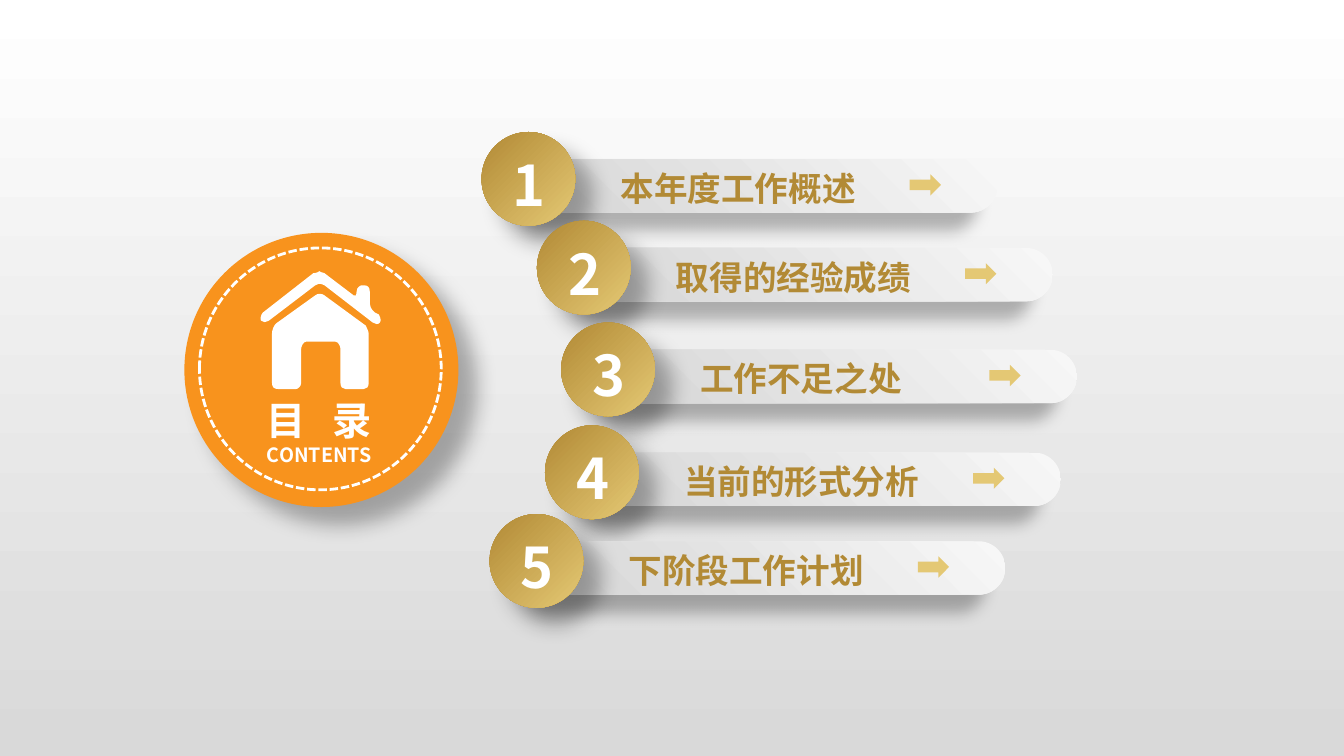
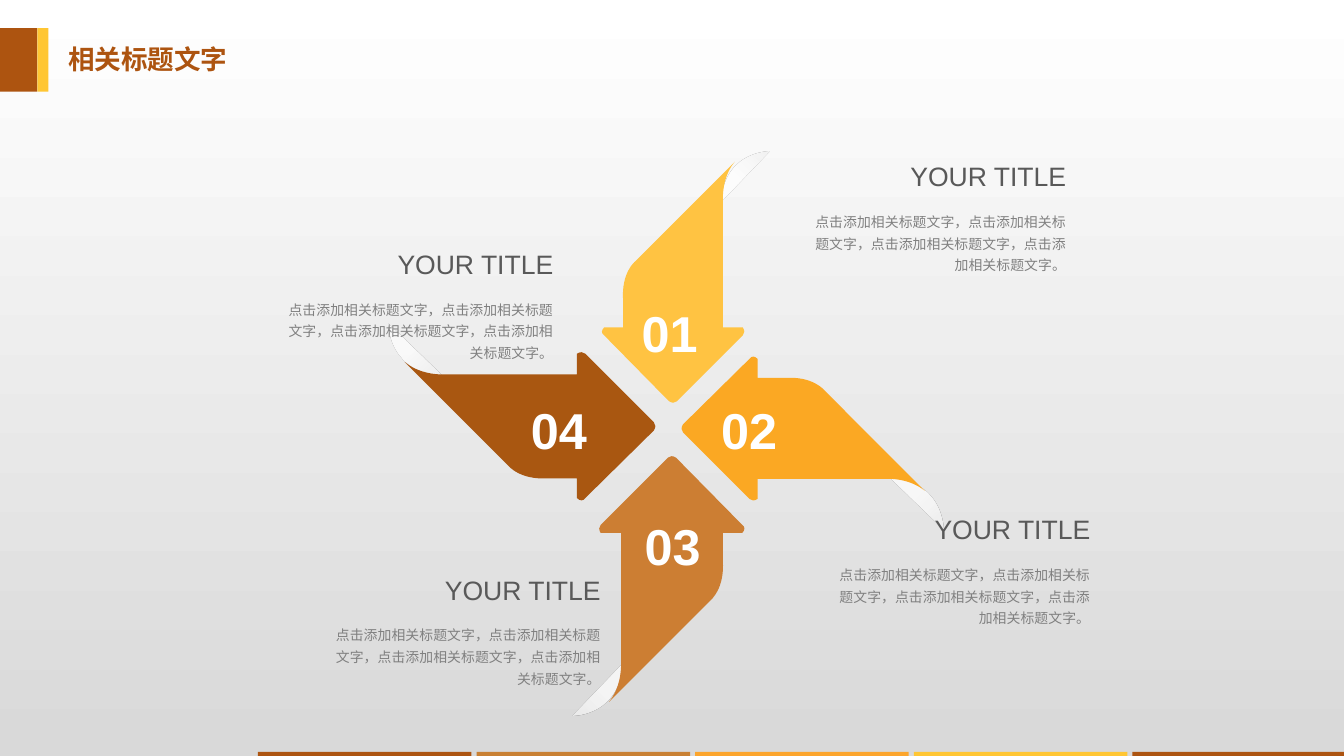
from dataclasses import dataclass

from lxml import etree
from pptx import Presentation
from pptx import util as u
from pptx.dml import color as dml_color
from pptx.enum import dml, shapes, text
from pptx.oxml import ns


@dataclass(frozen=True)
class Gradient:
    stops: tuple  # (position, colour, opacity in percent)
    angle: float = 0  # clockwise degrees
    from_corner: bool = False  # spreads from the bottom left corner


@dataclass(frozen=True)
class Shadow:
    opacity: int
    blur: float
    distance: float
    direction: float


@dataclass(frozen=True)
class Theme:
    # Fonts and type sizes
    latin: str = "Arial"
    chinese: str = "Noto Sans CJK SC"
    number_size: float = 40
    blade_number_size: float = 36
    contents_size: float = 28
    item_size: float = 24
    title_size: float = 18.95
    small_size: float = 14
    body_size: float = 9.95
    # Colours
    white: str = "FFFFFF"
    orange: str = "F8931D"
    gold: str = "B28A35"
    pale_gold: str = "E4C874"
    brown: str = "AD5410"
    yellow: str = "FFC633"
    footer: tuple = ("AD5410", "C98033", "FCA52C", "FFC633", "AD5410")
    heading: str = "595959"
    body: str = "808080"
    # Fills and shadows
    backdrop: Gradient = Gradient(((0, "FFFFFF", 100), (0.99, "D9D9D9", 100)), 90)
    disc: Gradient = Gradient(((0, "B28A35", 100), (1, "E4C874", 100)), 45)
    bar: Gradient = Gradient(
        ((0, "D6D6D6", 100), (1, "F7F7F7", 100)), from_corner=True)
    curl_stops: tuple = ((0, "F0F0F0", 76), (0.59, "FFFFFF", 73))
    disc_shadow: Shadow = Shadow(30, 15, 18, 45)
    bar_shadow: Shadow = Shadow(28, 11.8, 19.7, 141)


THEME = Theme()
WIDTH, HEIGHT = 13.34, 7.5

# Outlines: a pair is a corner, three pairs in a row are a Bézier curve
HOUSE_WALLS = [
    (3.22, 2.93), (3.2, 2.91, 3.15, 2.91, 3.13, 2.93), (2.74, 3.21),
    (2.72, 3.23, 2.7, 3.27, 2.7, 3.31), (2.7, 3.8),
    (2.7, 3.84, 2.72, 3.86, 2.76, 3.86), (2.94, 3.86),
    (2.95, 3.86, 2.99, 3.84, 2.99, 3.8), (2.99, 3.46),
    (2.99, 3.44, 3.01, 3.39, 3.04, 3.39), (3.33, 3.39),
    (3.36, 3.39, 3.38, 3.44, 3.38, 3.46), (3.38, 3.8),
    (3.38, 3.84, 3.4, 3.86, 3.43, 3.86), (3.61, 3.86),
    (3.64, 3.86, 3.66, 3.84, 3.66, 3.8), (3.66, 3.31),
    (3.66, 3.29, 3.64, 3.25, 3.63, 3.23),
]
HOUSE_ROOF = [
    (3.72, 3.1), (3.68, 3.07, 3.67, 3.03, 3.67, 2.99), (3.67, 2.89),
    (3.67, 2.85, 3.65, 2.83, 3.61, 2.83), (3.59, 2.83),
    (3.58, 2.83, 3.54, 2.85, 3.54, 2.89),
    (3.54, 2.93, 3.52, 2.95, 3.51, 2.93), (3.22, 2.71),
    (3.2, 2.71, 3.17, 2.69, 3.17, 2.69), (3.17, 2.69, 3.15, 2.71, 3.11, 2.71),
    (2.61, 3.1), (2.59, 3.12, 2.58, 3.16, 2.59, 3.18),
    (2.61, 3.2, 2.63, 3.2, 2.67, 3.18), (3.13, 2.83),
    (3.15, 2.81, 3.18, 2.81, 3.22, 2.83), (3.7, 3.2),
    (3.72, 3.22, 3.76, 3.22, 3.77, 3.2), (3.79, 3.18, 3.77, 3.14, 3.76, 3.12),
]
# Pinwheel blade, measured from its tip and pointing left
BLADE = [
    (0.68, -0.69), (0.02, -0.04), (0, -0.01, 0, 0.02, 0.02, 0.04), (0.68, 0.7),
    (0.7, 0.72, 0.73, 0.72, 0.76, 0.7), (0.76, 0.5), (2.06, 0.5),
    (2.06, 0.5, 2.11, 0.5, 2.17, 0.51), (2.28, 0.53, 2.36, 0.57, 2.42, 0.62),
    (1.42, -0.38), (1.42, -0.38, 1.31, -0.52, 1.03, -0.5), (0.76, -0.5),
    (0.76, -0.69), (0.73, -0.72, 0.7, -0.72, 0.68, -0.69),
]
CURL = [
    (2.08, 0.5), (2.6, 1), (2.6, 1, 2.6, 0.83, 2.49, 0.69),
    (2.47, 0.67, 2.45, 0.64, 2.42, 0.62), (2.36, 0.57, 2.28, 0.53, 2.17, 0.51),
    (2.14, 0.51, 2.11, 0.5, 2.08, 0.5),
]

# Contents rows: text, left and top of the bar
ITEMS = [
    ("本年度工作概述", 5.33, 1.58),
    ("取得的经验成绩", 5.88, 2.46),
    ("工作不足之处", 6.12, 3.47),
    ("当前的形式分析", 5.96, 4.49),
    ("下阶段工作计划", 5.41, 5.37),
]
# Blades: number, (colour, tip, scale, curl scale, quarter turns), number box,
# caption (right, top, body width)
BLADES = [
    ("01", ("FFC342", (6.68, 4), 0.99, 0.96, 3), (6.27, 2.95), (10.68, 1.54, 2.79)),
    ("02", ("FBA823", (6.76, 4.25), 1, 1, 0), (7.06, 3.91), (10.92, 5.04, 2.79)),
    ("03", ("CC7E33", (6.67, 4.52), 1.01, 0.99, 1), (6.3, 5.06), (6.06, 5.64, 2.92)),
    ("04", ("A95711", (6.51, 4.23), 1.03, 1.02, 2), (5.17, 3.91), (5.59, 2.41, 2.92)),
]
BODY_TEXT = "，".join(["点击添加相关标题文字"] * 4) + "。"


def rgb(value):
    return dml_color.RGBColor.from_string(value)


def add_xml(parent, tag, **attributes):
    values = {name: str(value) for name, value in attributes.items()}
    return etree.SubElement(parent, ns.qn(tag), values)


def paint_gradient(fill, owner, gradient):
    """Fill with a gradient; owner is the XML element that holds the fill."""
    fill.gradient()
    fill.gradient_angle = -gradient.angle % 360
    for stop, (position, value, _) in zip(fill.gradient_stops, gradient.stops):
        stop.position = position
        stop.color.rgb = rgb(value)
    grad = next(owner.iter(ns.qn("a:gradFill")))
    for node, (_, _, opacity) in zip(grad.iter(ns.qn("a:srgbClr")), gradient.stops):
        if opacity < 100:
            add_xml(node, "a:alpha", val=opacity * 1000)
    if gradient.from_corner:
        grad.remove(grad.find(ns.qn("a:lin")))
        route = add_xml(grad, "a:path", path="circle")
        add_xml(route, "a:fillToRect", t=100000, r=100000)


def style(shape, fill=None, shadow=None):
    """Set fill and shadow, and take the outline away."""
    properties = shape._element.spPr
    if fill is None:
        shape.fill.background()
    elif isinstance(fill, Gradient):
        paint_gradient(shape.fill, properties, fill)
    else:
        shape.fill.solid()
        shape.fill.fore_color.rgb = rgb(fill)
    shape.line.fill.background()
    shape.shadow.inherit = False
    if shadow:
        effects = properties.find(ns.qn("a:effectLst"))
        outer = add_xml(effects, "a:outerShdw", blurRad=u.Pt(shadow.blur),
                        dist=u.Pt(shadow.distance),
                        dir=int(shadow.direction * 60000), algn="tl",
                        rotWithShape=0)
        value = add_xml(outer, "a:srgbClr", val="000000")
        add_xml(value, "a:alpha", val=shadow.opacity * 1000)
    return shape


def add_preset(page, kind, left, top, width, height, fill=None, shadow=None):
    shape = page.shapes.add_shape(kind, *map(u.Inches, (left, top, width, height)))
    return style(shape, fill, shadow)


def add_outline(page, outline, fill, origin=(0, 0), scale=1, turns=0):
    """Draw an outline, scaled, turned by quarters and moved to its origin."""
    def place(x, y):
        for _ in range(turns):
            x, y = -y, x
        return u.Inches(origin[0] + scale * x), u.Inches(origin[1] + scale * y)

    parts = [[place(*part[i:i + 2]) for i in range(0, len(part), 2)]
             for part in outline]
    builder = page.shapes.build_freeform(*parts[0][0])
    builder.add_line_segments([part[-1] for part in parts[1:]], close=True)
    shape = builder.convert_to_shape()
    # Bend the segments that have control points
    segments = list(shape._element.iter(ns.qn("a:lnTo")))
    for segment, part in zip(segments, parts[1:]):
        if len(part) == 3:
            curve = etree.Element(ns.qn("a:cubicBezTo"))
            for x, y in part:
                add_xml(curve, "a:pt", x=x - shape.left, y=y - shape.top)
            segment.getparent().replace(segment, curve)
    return style(shape, fill)


def add_text(page, left, top, width, height, lines, value, font=THEME.latin,
             bold=False, align=text.PP_ALIGN.LEFT, middle=False, inset=True,
             wrap=True, spacing=None, tab=None):
    """Add a text box; lines holds (wording, size) pairs."""
    box = page.shapes.add_textbox(*map(u.Inches, (left, top, width, height)))
    frame = box.text_frame
    frame.word_wrap = wrap
    if middle:
        frame.vertical_anchor = text.MSO_ANCHOR.MIDDLE
    if not inset:
        frame.margin_left = frame.margin_right = 0
        frame.margin_top = frame.margin_bottom = 0
    for index, (wording, size) in enumerate(lines):
        para = frame.add_paragraph() if index else frame.paragraphs[0]
        para.alignment = align
        if spacing:
            para.line_spacing = spacing
        if tab and "\t" in wording:
            stops = add_xml(para._p.get_or_add_pPr(), "a:tabLst")
            add_xml(stops, "a:tab", pos=u.Inches(tab), algn="l")
        span = para.add_run()
        span.text = wording
        span.font.size = u.Pt(size)
        span.font.bold = bold
        span.font.color.rgb = rgb(value)
        span.font.name = font
        add_xml(span._r.get_or_add_rPr(), "a:ea", typeface=THEME.chinese)
    return box


def add_page(deck):
    page = deck.slides.add_slide(deck.slide_layouts[6])
    paint_gradient(page.background.fill, page._element, THEME.backdrop)
    return page


def add_title_and_footer(page, title):
    rectangle = shapes.MSO_SHAPE.RECTANGLE
    add_preset(page, rectangle, 0.37, 0.28, 0.11, 0.63, THEME.yellow)
    add_preset(page, rectangle, 0, 0.28, 0.37, 0.63, THEME.brown)
    width, gap = 2.12, 0.05
    for index, value in enumerate(THEME.footer):
        add_preset(page, rectangle, 2.56 + index * (width + gap), 7.46,
                   width, 0.05, value)
    add_text(page, 0.58, 0.38, 1.97, 0.42, [(title, THEME.title_size)],
             THEME.brown, bold=True)


def add_badge(page):
    """Orange disc with the house and the word for contents."""
    oval = shapes.MSO_SHAPE.OVAL
    add_preset(page, oval, 1.83, 2.31, 2.72, 2.72, THEME.orange, THEME.disc_shadow)
    for outline in (HOUSE_WALLS, HOUSE_ROOF):
        add_outline(page, outline, THEME.white)
    add_text(page, 2.65, 3.93, 1.38, 0.84,
             [("目\t录", THEME.contents_size), ("CONTENTS", THEME.small_size)],
             THEME.white, THEME.chinese, bold=True, inset=False, tab=0.65)
    ring = add_preset(page, oval, 1.98, 2.46, 2.4, 2.4)
    ring.line.color.rgb = rgb(THEME.white)
    ring.line.width = u.Pt(2)
    ring.line.dash_style = dml.MSO_LINE.SQUARE_DOT


def add_item(page, number, wording, left, top):
    kinds = shapes.MSO_SHAPE
    bar = add_preset(page, kinds.ROUNDED_RECTANGLE, left, top, 4.57, 0.53,
                     THEME.bar, THEME.bar_shadow)
    bar.adjustments[0] = 0.5
    add_preset(page, kinds.OVAL, left - 0.55, top - 0.27, 0.93, 0.93,
               THEME.disc, THEME.disc_shadow)
    label = dict(font=THEME.chinese, bold=True, middle=True, inset=False)
    add_text(page, left - 0.54, top - 0.22, 0.93, 0.93,
             [(str(number), THEME.number_size)], THEME.white,
             align=text.PP_ALIGN.CENTER, **label)
    add_text(page, left + 0.83, top + 0.02, 2.8, 0.53,
             [(wording, THEME.item_size)], THEME.gold, **label)
    add_preset(page, kinds.RIGHT_ARROW, left + 3.7, top + 0.15, 0.31, 0.21,
               THEME.pale_gold)


def add_blade(page, value, tip, scale, curl_scale, turns):
    # Upright blades turn the shading of the curl with them
    angle = (225 + 90 * (turns if turns % 2 else 0)) % 360
    add_outline(page, CURL, Gradient(THEME.curl_stops, angle), tip, curl_scale, turns)
    add_outline(page, BLADE, value, tip, scale, turns)


def add_caption(page, right, top, body_width):
    align = text.PP_ALIGN.RIGHT
    add_text(page, right - 1.81, top, 1.81, 0.42,
             [("YOUR TITLE", THEME.title_size)], THEME.heading, align=align)
    add_text(page, right - body_width, top + 0.48, body_width, 0.75,
             [(BODY_TEXT, THEME.body_size)], THEME.body, align=align, spacing=1.3)


def main():
    deck = Presentation()
    deck.slide_width, deck.slide_height = u.Inches(WIDTH), u.Inches(HEIGHT)

    # Contents
    page = add_page(deck)
    add_badge(page)
    for number, item in enumerate(ITEMS, 1):
        add_item(page, number, *item)

    # Pinwheel
    page = add_page(deck)
    for _, blade, _, _ in BLADES:
        add_blade(page, *blade)
    for number, _, corner, caption in BLADES:
        add_text(page, *corner, 0.76, 0.71, [(number, THEME.blade_number_size)],
                 THEME.white, bold=True, wrap=False)
        add_caption(page, *caption)
    add_title_and_footer(page, "相关标题文字")

    deck.save("out.pptx")


if __name__ == "__main__":
    main()
